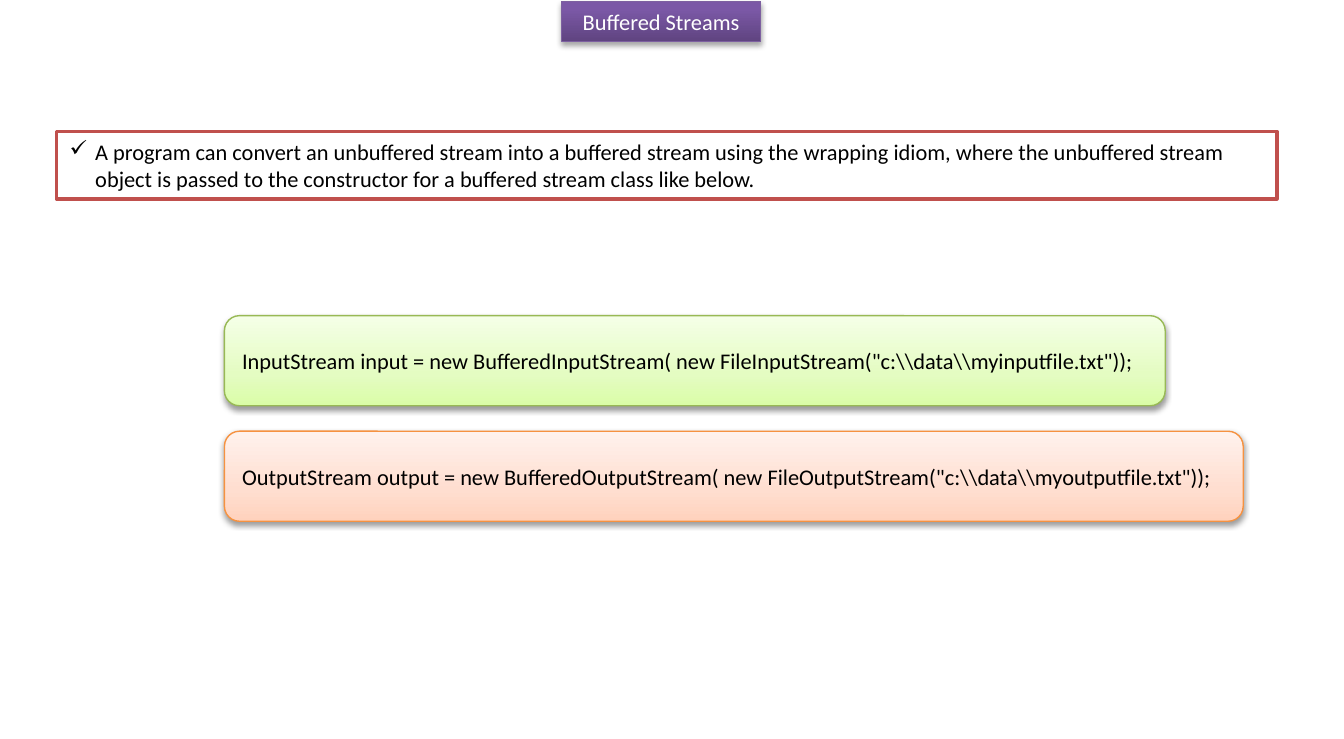
from lxml.etree import SubElement
from pptx import Presentation
from pptx.dml.color import RGBColor
from pptx.enum.shapes import MSO_SHAPE
from pptx.enum.text import MSO_ANCHOR, MSO_AUTO_SIZE, PP_ALIGN
from pptx.oxml.ns import qn
from pptx.util import Inches, Pt


def color(value):
    """Turn a hex string into a colour."""
    return RGBColor.from_string(value)


def place(shape, left, top, width, height):
    """Position a shape, in inches."""
    shape.left, shape.top = Inches(left), Inches(top)
    shape.width, shape.height = Inches(width), Inches(height)


def outline(shape, value, width):
    """Give a shape a solid outline."""
    shape.line.color.rgb = color(value)
    shape.line.width = Pt(width)


def fill_gradient(shape, stops):
    """Fill a shape with a gradient running from bottom to top."""
    shape.fill.gradient()
    shape.fill.gradient_angle = 90
    stop_list = shape.element.spPr.find(qn("a:gradFill")).find(qn("a:gsLst"))
    stop_list.clear()
    for position, value in stops:
        stop = SubElement(stop_list, qn("a:gs"), pos=str(position * 1000))
        SubElement(stop, qn("a:srgbClr"), val=value)


def add_shadow(shape, opacity, distance):
    """Cast a soft black shadow straight down."""
    shape.shadow.inherit = False
    effects = shape.element.spPr.find(qn("a:effectLst"))
    shadow = SubElement(effects, qn("a:outerShdw"), blurRad=str(Pt(3.1)),
                        dist=str(Pt(distance)), dir="5400000", rotWithShape="0")
    black = SubElement(shadow, qn("a:srgbClr"), val="000000")
    SubElement(black, qn("a:alpha"), val=str(opacity * 1000))


def write(shape, text, value="000000", align=PP_ALIGN.LEFT, anchor=MSO_ANCHOR.TOP):
    """Put one formatted paragraph into a shape of fixed size."""
    frame = shape.text_frame
    frame.text = text
    frame.word_wrap = True
    frame.auto_size = MSO_AUTO_SIZE.NONE
    frame.vertical_anchor = anchor
    para = frame.paragraphs[0]
    para.alignment = align
    font = para.runs[0].font
    font.name, font.size = "Calibri", Pt(12)
    font.color.rgb = color(value)


def add_title(page, text):
    """Format the title placeholder as a purple banner."""
    title = page.shapes.title
    place(title, 4.18, 0.01, 1.48, 0.3)
    fill_gradient(title, [(0, "5F4480"), (80, "7B58A6"), (100, "7C57A8")])
    outline(title, "7D60A0", 0.75)
    add_shadow(title, 35, 1.8)
    write(title, text, "FFFFFF", PP_ALIGN.CENTER)


def add_code_box(page, top, width, text, stops, line):
    """Add a rounded box holding one line of code."""
    box = page.shapes.add_shape(MSO_SHAPE.FLOWCHART_ALTERNATE_PROCESS,
                                Inches(1.67), Inches(top), Inches(width), Inches(0.67))
    fill_gradient(box, stops)
    outline(box, line, 0.75)
    add_shadow(box, 38, 1.6)
    write(box, text, anchor=MSO_ANCHOR.MIDDLE)


def add_note(page, text):
    """Add the outlined explanation with a check mark bullet."""
    box = page.shapes.add_shape(MSO_SHAPE.RECTANGLE, Inches(0.42), Inches(0.98),
                                Inches(9.08), Inches(0.5))
    box.shadow.inherit = False
    box.fill.solid()
    box.fill.fore_color.rgb = color("FFFFFF")
    outline(box, "C0504D", 2)
    write(box, text)
    properties = box.text_frame.paragraphs[0]._p.get_or_add_pPr()
    indent = Inches(0.19)
    properties.set("marL", str(indent))
    properties.set("indent", str(-indent))
    SubElement(properties, qn("a:buChar"), char="✓")


def main():
    """Build the slide and save it."""
    deck = Presentation()
    deck.slide_width, deck.slide_height = Inches(10), Inches(5.5)
    page = deck.slides.add_slide(deck.slide_layouts[5])
    add_title(page, "Buffered Streams")
    add_code_box(page, 2.35, 7,
                 r'InputStream input = new BufferedInputStream( new FileInputStream("c:\\data\\myinputfile.txt"));',
                 [(0, "DAFDA7"), (35, "E4FCC2"), (100, "F5FFE7")], "98B955")
    add_code_box(page, 3.21, 7.58,
                 r'OutputStream output = new BufferedOutputStream( new FileOutputStream("c:\\data\\myoutputfile.txt"));',
                 [(0, "FFD2BD"), (35, "FFDED0"), (100, "FFF2ED")], "F69240")
    add_note(page, "A program can convert an unbuffered stream into a buffered stream using "
                   "the wrapping idiom, where the unbuffered stream object is passed to the "
                   "constructor for a buffered stream class like below.")
    deck.save("out.pptx")


if __name__ == "__main__":
    main()
